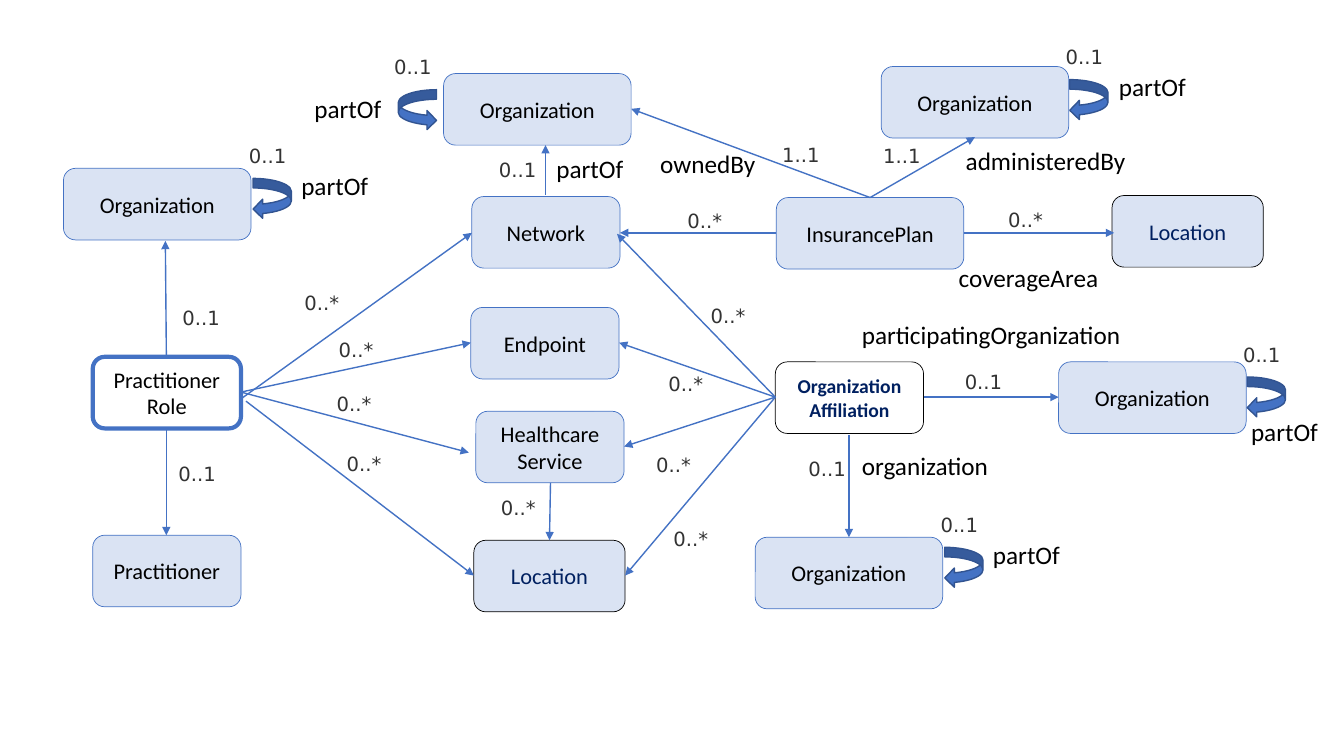
"""Build the slide of directory resources and the references between them."""
from lxml import etree
from pptx import Presentation, util as u
from pptx.dml.color import RGBColor
from pptx.enum import shapes, text
from pptx.oxml.ns import qn

PX = 9144
BLUE = RGBColor(0x44, 0x72, 0xC4)
DARK_BLUE = RGBColor(0x32, 0x54, 0x91)
PALE_BLUE = RGBColor(0xDA, 0xE3, 0xF3)
NAVY = RGBColor(0x00, 0x20, 0x60)
GREY = RGBColor(0x33, 0x33, 0x33)
BLACK = RGBColor(0, 0, 0)

BOX_HEIGHT = 71
NARROW, MEDIUM, WIDE = 147, 150, 186

BOX_TEXT = {"name": "Calibri", "size": u.Pt(16), "color": BLACK}
LOCATION_TEXT = {**BOX_TEXT, "color": NAVY}
AFFILIATION_TEXT = {**LOCATION_TEXT, "size": u.Pt(14), "bold": True}
LABEL_TEXT = {"name": "Calibri", "size": u.Pt(18), "color": BLACK}
COUNT_TEXT = {"name": "DejaVu Sans", "size": u.Pt(14), "color": GREY}

RESOURCE_BOXES = [
    ("Healthcare Service", 472, 408, NARROW),
    ("Endpoint", 467, 305, NARROW),
    ("Network", 468, 195, NARROW),
    ("Practitioner", 92, 531, NARROW),
    ("InsurancePlan", 770, 196, WIDE),
    ("Organization", 749, 533, WIDE),
    ("Organization", 440, 73, WIDE),
    ("Organization", 874, 66, WIDE),
    ("Organization", 1050, 359, WIDE),
    ("Organization", 63, 167, WIDE),
]
LOCATIONS = [(470, 536), (1103, 194)]

ROLE_EDGE = (239, 389)
AFFILIATION_EDGE = (769, 394)
PLAN_TOP = (863, 196)
REFERENCES = [
    ((842, 432), (842, 533)),
    (AFFILIATION_EDGE, (619, 443)),
    (AFFILIATION_EDGE, (620, 571)),
    (AFFILIATION_EDGE, (614, 340)),
    (AFFILIATION_EDGE, (612, 232)),
    ((916, 394), (1050, 394)),
    ((165, 424), (165, 531)),
    ((165, 354), (164, 239)),
    ((244, 398), (470, 571)),
    ((240, 395), (468, 231)),
    (ROLE_EDGE, (465, 449)),
    (ROLE_EDGE, (467, 340)),
    ((541, 193), (541, 144)),
    (PLAN_TOP, (626, 108)),
    (PLAN_TOP, (967, 136)),
    ((770, 231), (615, 231)),
    ((956, 231), (1105, 231)),
    ((546, 479), (545, 536)),
]

COUNTS = {
    "0..*": [(658, 518), (653, 364), (641, 444), (487, 487), (292, 284),
             (324, 384), (326, 330), (334, 443), (990, 201), (672, 202),
             (695, 297)],
    "0..1": [(792, 448), (171, 299), (167, 453), (947, 362), (485, 152)],
    "1..1": [(766, 137), (866, 138)],
}
LABELS = [
    ("organization", 845, 442, 147),
    ("participatingOrganization", 845, 312, 280),
    ("ownedBy", 645, 142, 116),
    ("administeredBy", 948, 139, 180),
    ("coverageArea", 941, 255, 162),
    ("partOf", 542, 147, 87),
]
SELF_REFERENCES = [
    ((937, 543), (975, 530), False),
    ((395, 89), (302, 88), True),
    ((1061, 79), (1100, 66), False),
    ((1237, 374), (1231, 408), False),
    ((251, 177), (289, 164), False),
]


def px(*lengths):
    """Turn pixel lengths into EMU."""
    return [u.Emu(length * PX) for length in lengths]


def apply(target, values):
    """Set each named attribute of the target."""
    for name, value in values.items():
        setattr(target, name, value)


def write(frame, lines, style, align):
    """Fill a text frame with one styled paragraph per line."""
    for index, line in enumerate(lines.split("\n")):
        para = frame.paragraphs[0] if index == 0 else frame.add_paragraph()
        para.alignment = align
        span = para.add_run()
        span.text = line
        for name, value in style.items():
            if name == "color":
                span.font.color.rgb = value
            else:
                setattr(span.font, name, value)


def add_outlined(page, kind, place, fill, line, weight):
    """Add a preset shape with a fill and an outline."""
    shape = page.shapes.add_shape(kind, *px(*place))
    shape.shadow.inherit = False
    if fill is None:
        shape.fill.background()
    else:
        shape.fill.solid()
        shape.fill.fore_color.rgb = fill
    shape.line.color.rgb = line
    shape.line.width = u.Pt(weight)
    return shape


def add_box(page, name, left, top, width, style=BOX_TEXT, fill=PALE_BLUE,
            line=BLUE, weight=0.5):
    """Add a rounded resource box."""
    box = add_outlined(page, shapes.MSO_SHAPE.ROUNDED_RECTANGLE,
                       (left, top, width, BOX_HEIGHT), fill, line, weight)
    apply(box.text_frame, {"word_wrap": True,
                           "vertical_anchor": text.MSO_ANCHOR.MIDDLE})
    write(box.text_frame, name, style, text.PP_ALIGN.CENTER)


def add_text(page, words, place, style, wrap):
    """Add a left-aligned text box."""
    box = page.shapes.add_textbox(*px(*place))
    apply(box.text_frame, {"word_wrap": wrap,
                           "auto_size": text.MSO_AUTO_SIZE.SHAPE_TO_FIT_TEXT})
    write(box.text_frame, words, style, text.PP_ALIGN.LEFT)


def add_label(page, words, left, top, width):
    """Add the name of a reference."""
    add_text(page, words, (left, top, width, 40), LABEL_TEXT, False)


def add_count(page, words, left, top):
    """Add the cardinality of a reference."""
    add_text(page, words, (left, top, 72, 34), COUNT_TEXT, True)


def add_reference(page, start, end):
    """Add a line with an arrowhead at its end."""
    arrow = page.shapes.add_connector(shapes.MSO_CONNECTOR.STRAIGHT,
                                      *px(*start, *end))
    arrow.line.color.rgb = BLUE
    arrow.line.width = u.Pt(1)
    properties = arrow._element.spPr
    etree.SubElement(properties.find(qn("a:ln")), qn("a:tailEnd"),
                     type="triangle")
    etree.SubElement(properties, qn("a:effectLst"))


def add_self_reference(page, corner, label_corner, mirrored):
    """Add a curved partOf arrow with its label and cardinality."""
    left, top = corner
    arrow = add_outlined(page, shapes.MSO_SHAPE.CURVED_LEFT_ARROW,
                         (left, top, 38, 40), BLUE, DARK_BLUE, 1)
    if mirrored:
        arrow._element.spPr.find(qn("a:xfrm")).set("flipH", "1")
    add_label(page, "partOf", *label_corner, 87)
    add_count(page, "0..1", left - 14, top - 39)


def main():
    """Build and save the deck."""
    deck = Presentation()
    apply(deck, dict(zip(("slide_width", "slide_height"), px(1333, 750))))
    page = deck.slides.add_slide(deck.slide_layouts[6])
    for resource in RESOURCE_BOXES:
        add_box(page, *resource)
    for left, top in LOCATIONS:
        add_box(page, "Location", left, top, MEDIUM, LOCATION_TEXT, line=BLACK)
    add_box(page, "Organization Affiliation", 769, 359, NARROW,
            AFFILIATION_TEXT, None, BLACK)
    add_box(page, "Practitioner\nRole", 92, 354, NARROW, fill=None, weight=3)
    for start, end in REFERENCES:
        add_reference(page, start, end)
    for reference in SELF_REFERENCES:
        add_self_reference(page, *reference)
    for label in LABELS:
        add_label(page, *label)
    for words, corners in COUNTS.items():
        for corner in corners:
            add_count(page, words, *corner)
    deck.save("out.pptx")


if __name__ == "__main__":
    main()
